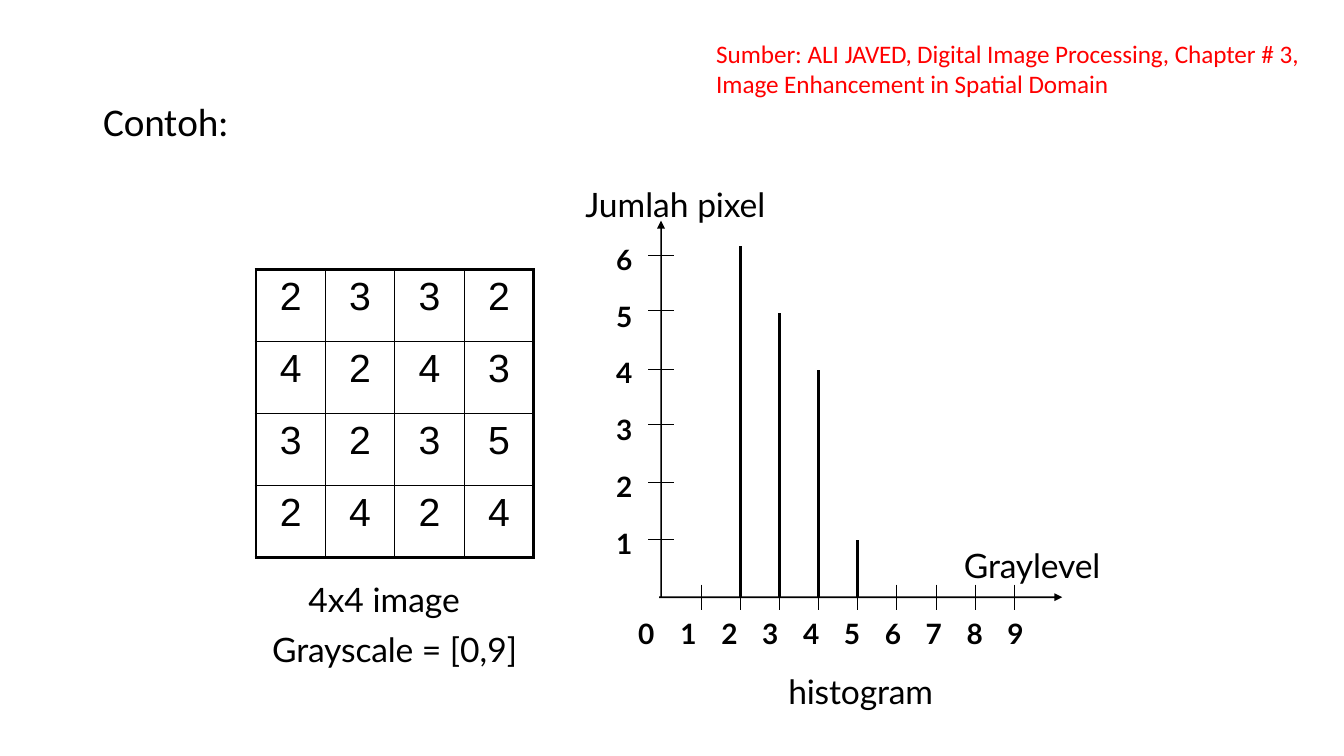
"""Build a slide that explains the histogram of a small grayscale image."""
from lxml.etree import SubElement
from pptx import Presentation
from pptx.dml.color import RGBColor
from pptx.enum.text import PP_ALIGN
from pptx.oxml.ns import qn
from pptx.util import Cm, Pt

BLACK = RGBColor(0x00, 0x00, 0x00)
RED = RGBColor(0xFF, 0x00, 0x00)

PIXELS = [[2, 3, 3, 2], [4, 2, 4, 3], [3, 2, 3, 5], [2, 4, 2, 4]]
BAR_TOPS = {2: 6.2, 3: 7.9, 4: 9.32, 5: 13.61}
COUNT_TICKS = {6: 6.45, 5: 7.82, 4: 9.32, 3: 10.7, 2: 12.17, 1: 13.59}
MAX_LEVEL = 9
AXIS_X, AXIS_Y = 16.66, 15.05
LEVEL_TICKS = {level: 17.68 + (level - 1) * 7.88 / 8 for level in range(1, MAX_LEVEL + 1)}
TICK_HALF = 0.32
AXES_OUTLINE = [
    (26.77, 15.05), (26.57, 14.95), (26.57, 15.03), (16.68, 15.03), (16.68, 5.76),
    (16.76, 5.76), (16.66, 5.56), (16.56, 5.76), (16.64, 5.76), (16.64, 15.03),
    (16.61, 15.03), (16.61, 15.07), (26.57, 15.07), (26.57, 15.15),
]


def add_text_box(slide, left, top, width, height):
    """Add a wrapping text box without side insets and return its frame."""
    frame = slide.shapes.add_textbox(Cm(left), Cm(top), Cm(width), Cm(height)).text_frame
    frame.word_wrap = True
    frame.margin_left = frame.margin_right = frame.margin_bottom = 0
    frame.margin_top = Cm(0.03)
    return frame


def set_indent(paragraph, **lengths):
    """Set paragraph indents, given in centimetres."""
    for name, length in lengths.items():
        paragraph._p.get_or_add_pPr().set(name, str(Cm(length)))


def add_runs(paragraph, runs, size, font="Lato", color=BLACK, bold=False):
    """Add (text, letter spacing) runs in one style."""
    for text, spacing in runs:
        run = paragraph.add_run()
        run.text = text
        run.font.size = Pt(size)
        run.font.name = font
        run.font.bold = bold
        run.font.color.rgb = color
        if spacing:
            run.font._element.set("spc", str(round(spacing * 100)))


def add_label(slide, box, runs, size, font="Lato", color=BLACK):
    """Add a text box with one paragraph and return the paragraph."""
    paragraph = add_text_box(slide, *box).paragraphs[0]
    paragraph.space_before = Pt(1)
    set_indent(paragraph, marL=0.03)
    add_runs(paragraph, runs, size, font, color)
    return paragraph


def add_outline(slide, contours, closed=False):
    """Add one black freeform made of the given contours and return it."""
    contours = [[(Cm(x), Cm(y)) for x, y in contour] for contour in contours]
    builder = slide.shapes.build_freeform(*contours[0][0])
    for number, (start, *others) in enumerate(contours):
        if number:
            builder.move_to(*start)
        builder.add_line_segments(others, close=closed)
    shape = builder.convert_to_shape()
    shape.shadow.inherit = False
    return shape


def add_strokes(slide, strokes, width):
    """Add straight strokes as one unfilled freeform."""
    shape = add_outline(slide, strokes)
    shape.fill.background()
    shape.line.color.rgb = BLACK
    shape.line.width = Pt(width)


def set_border(cell, side, width):
    """Draw one black border of a table cell."""
    properties = cell._tc.get_or_add_tcPr()
    line = SubElement(properties, qn(f"a:ln{side}"), w=str(Pt(width)))
    fill = SubElement(line, qn("a:solidFill"))
    SubElement(fill, qn("a:srgbClr"), val=str(BLACK))


def add_pixel_table(slide):
    """Add the pixel grid with a heavy outer frame."""
    size = len(PIXELS)
    frame = slide.shapes.add_table(size, size, Cm(6.45), Cm(6.79), Cm(7), Cm(7.26))
    table = frame.table
    table.first_row = table.horz_banding = False
    for row, values in enumerate(PIXELS):
        table.rows[row].height = Cm(7.26 / size)
        table.columns[row].width = Cm(7 / size)
        for column, value in enumerate(values):
            cell = table.cell(row, column)
            cell.margin_left = cell.margin_right = cell.margin_bottom = 0
            cell.margin_top = Cm(0.15)
            paragraph = cell.text_frame.paragraphs[0]
            paragraph.alignment = PP_ALIGN.CENTER
            paragraph.space_before = Pt(4.3)
            add_runs(paragraph, [(str(value), 0)], 28, "Arial")
            outer = {"L": column == 0, "R": column == size - 1,
                     "T": row == 0, "B": row == size - 1}
            for side, heavy in outer.items():
                set_border(cell, side, 2.25 if heavy else 1)
            cell.fill.background()


def add_histogram(slide):
    """Add the axes, ticks and bars of the histogram."""
    axes = add_outline(slide, [AXES_OUTLINE], closed=True)
    axes.fill.solid()
    axes.fill.fore_color.rgb = BLACK
    axes.line.fill.background()

    level_ticks = [[(x, AXIS_Y - TICK_HALF), (x, AXIS_Y + TICK_HALF)]
                   for x in LEVEL_TICKS.values()]
    count_ticks = [[(AXIS_X - TICK_HALF, y), (AXIS_X + TICK_HALF, y)]
                   for y in COUNT_TICKS.values()]
    for ticks in (level_ticks + count_ticks[:2], count_ticks[2:3], count_ticks[3:]):
        add_strokes(slide, ticks, 0.72)
    bars = [[(LEVEL_TICKS[level], AXIS_Y + 0.03), (LEVEL_TICKS[level], top)]
            for level, top in BAR_TOPS.items()]
    add_strokes(slide, bars, 2.28)


def add_count_labels(slide):
    """Add the pixel counts beside the vertical axis."""
    frame = add_text_box(slide, 15.5, 6.08, 0.53, 8.08)
    for number, count in enumerate(COUNT_TICKS):
        paragraph = frame.add_paragraph() if number else frame.paragraphs[0]
        paragraph.space_before = Pt(16.5 if number else 1.1)
        set_indent(paragraph, marL=0.03)
        add_runs(paragraph, [(str(count), 0)], 20, bold=True)


def add_level_labels(slide):
    """Add the axis title, the gray levels and the caption below."""
    frame = add_text_box(slide, 16.05, 13.69, 11.68, 4.27)
    axis_title = frame.paragraphs[0]
    axis_title.alignment = PP_ALIGN.RIGHT
    axis_title.space_before = Pt(1)
    add_runs(axis_title, [("Graylevel", -0.1)], 24)

    levels = frame.add_paragraph()
    levels.space_before = Pt(22.6)
    set_indent(levels, marL=0.03)
    tabs = SubElement(levels._p.get_or_add_pPr(), qn("a:tabLst"))
    for level in range(MAX_LEVEL):
        SubElement(tabs, qn("a:tab"), pos=str(Cm(1.07 + 1.03 * level)), algn="l")
    text = "\t".join(str(level) for level in range(MAX_LEVEL + 1))
    add_runs(levels, [(text, 0)], 20, bold=True)

    caption = frame.add_paragraph()
    caption.alignment = PP_ALIGN.CENTER
    caption.space_before = Pt(14.6)
    set_indent(caption, marR=0.4)
    add_runs(caption, [("histogram", -0.1)], 24)


def main():
    """Create the presentation and save it."""
    presentation = Presentation()
    presentation.slide_width, presentation.slide_height = Cm(33.87), Cm(19.05)
    slide = presentation.slides.add_slide(presentation.slide_layouts[6])

    add_label(slide, (2.57, 2.41, 3.25, 1.24),
              [("Co", -0.1), ("nt", -0.3), ("oh:", -0.1)], 28, "Calibri")
    add_pixel_table(slide)
    image_caption = add_label(
        slide, (6.83, 14.3, 6.63, 2.62),
        [("4x4 image ", 0), ("Grayscale ", -0.1), ("= [0,9]", 0)], 24)
    image_caption.line_spacing = 1.25
    set_indent(image_caption, indent=0.91)
    add_histogram(slide)
    add_count_labels(slide)
    add_label(slide, (14.72, 4.6, 4.7, 1.09), [("Jumlah ", 0), ("pixel", -0.1)], 24)
    add_level_labels(slide)
    add_label(slide, (18.02, 0.94, 14.92, 1.6),
              [("Sumber: ", -0.05), ("ALI ", 0), ("JAVED, ", -0.25),
               ("Digital Image Processing, Chapter ", -0.05), ("# 3, ", 0),
               ("Image Enhancement in Spatial Domain", -0.05)], 18, "Calibri", RED)
    presentation.save("out.pptx")


if __name__ == "__main__":
    main()
